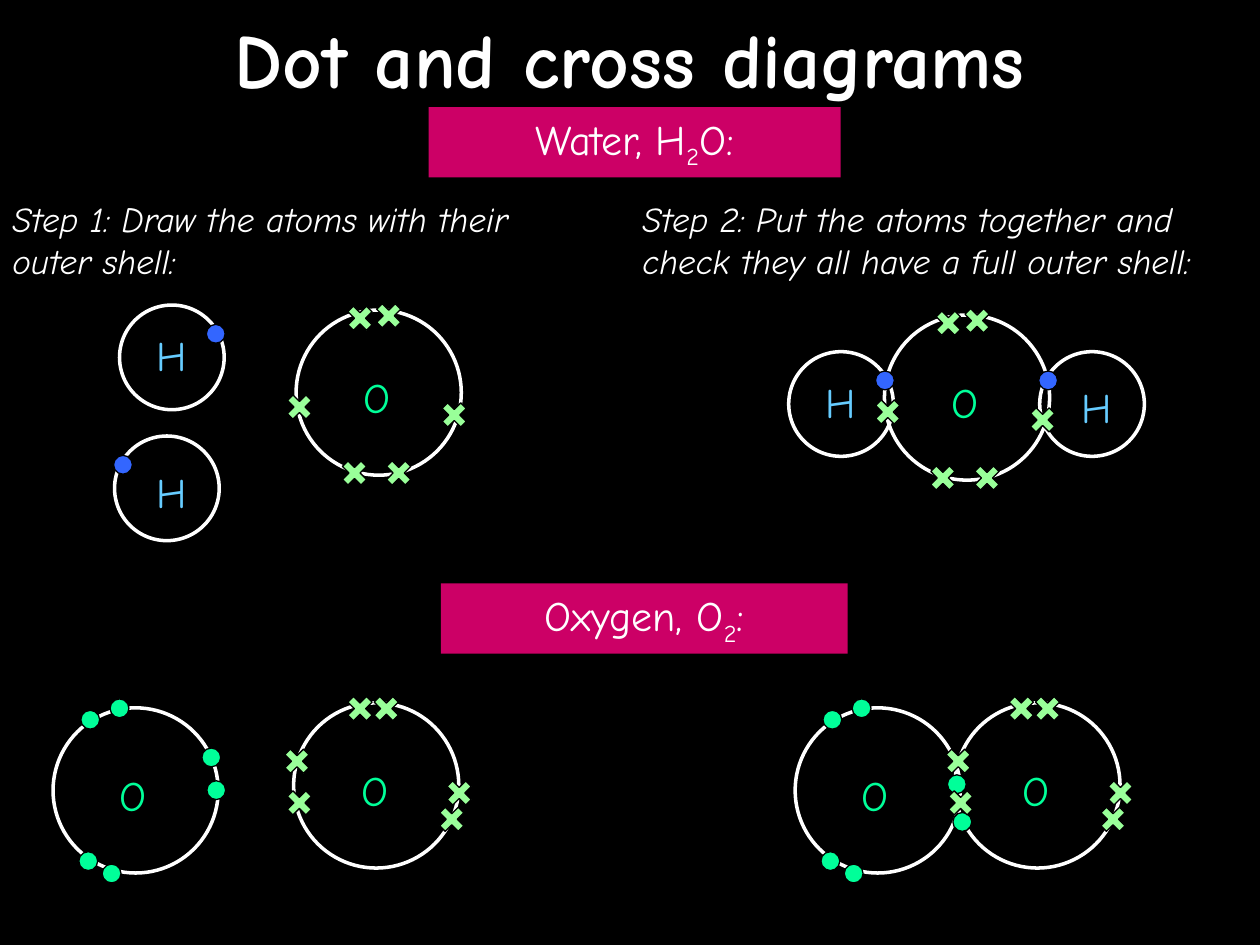
import pptx
import pptx.util
import pptx.dml.color
import pptx.enum.shapes
import pptx.enum.text

Cm = pptx.util.Cm
Pt = pptx.util.Pt
KIND = pptx.enum.shapes.MSO_SHAPE
ALIGN = pptx.enum.text.PP_ALIGN
ANCHOR = pptx.enum.text.MSO_ANCHOR
AUTO = pptx.enum.text.MSO_AUTO_SIZE

HUES = {
    "black": "000000", "white": "FFFFFF", "pink": "CC0066", "blue": "3366FF",
    "sky": "66CCFF", "green": "00FF99", "lime": "99FF99",
}
HEAD = {"size": Pt(44), "bold": True}
BODY = {"size": Pt(24)}
STEP = {"size": Pt(20), "italic": True}

RING = {"H": 2.11, "O": 3.33}
MARK = {"H": "sky", "O": "green"}
DOT, CROSS = 0.38, 0.53

LEFT_H = {"name": "H", "label": (0.23, 0.37), "hue": "blue", "dots": [(1.75, 0.39)]}
RIGHT_H = {"name": "H", "label": (0.32, 0.48), "hue": "blue", "dots": [(-0.02, 0.39)]}
WATER_O = {
    "name": "O", "label": (0.8, 1.12),
    "crosses": [(1.02, -0.1), (1.6, -0.15), (-0.2, 1.69),
                (2.92, 1.85), (0.91, 3.02), (1.8, 3.02)],
}
CROSS_O = {
    "name": "O", "label": (0.81, 1.12),
    "crosses": [(-0.15, 1.75), (-0.2, 0.91), (1.07, -0.15),
                (1.6, -0.15), (2.92, 2.08), (3.07, 1.55)],
}
PAIRS = [(1.15, -0.18), (0.56, 0.05), (0.52, 2.9), (0.99, 3.15)]
FREE_O = {"name": "O", "label": (0.79, 1.12), "hue": "green",
          "dots": PAIRS + [(3, 0.81), (3.1, 1.47)]}
BOND_O = {**FREE_O, "dots": PAIRS + [(3.07, 1.35), (3.18, 2.11)]}

GROUPS = [
    [(WATER_O, 17.83, 6.35), (LEFT_H, 15.9, 7.09), (RIGHT_H, 20.96, 7.09)],
    [(BOND_O, 16.03, 14.27), (CROSS_O, 19.25, 14.17)],
    [(LEFT_H, 2.41, 6.15)],
    [(RIGHT_H, 2.31, 8.79)],
    [(WATER_O, 5.97, 6.25)],
    [(FREE_O, 1.07, 14.27)],
    [(CROSS_O, 5.92, 14.17)],
]


def tint(name):
    return pptx.dml.color.RGBColor.from_string(HUES[name])


def write(shape, parts, form, hue="white", align=ALIGN.CENTER, grow=True):
    frame = shape.text_frame
    setup = {
        "word_wrap": True,
        "auto_size": AUTO.SHAPE_TO_FIT_TEXT if grow else AUTO.NONE,
        "vertical_anchor": ANCHOR.TOP if grow else ANCHOR.MIDDLE,
    }
    for key, value in setup.items():
        setattr(frame, key, value)
    line = frame.paragraphs[0]
    line.alignment = align
    for count, part in enumerate(parts):
        run = line.add_run()
        run.text = part
        for key, value in {"name": "Comic Neue", **form}.items():
            setattr(run.font, key, value)
        run.font.color.rgb = tint(hue)
        if count == 1:
            run.font._element.set("baseline", "-25000")


def text(shapes, box, parts, form, **more):
    write(shapes.add_textbox(*map(Cm, box)), parts, form, **more)


def form(shapes, kind, box, fill=None, line=None, width=0.75):
    shape = shapes.add_shape(kind, *map(Cm, box))
    shape.shadow.inherit = False
    if fill:
        shape.fill.solid()
        shape.fill.fore_color.rgb = tint(fill)
    else:
        shape.fill.background()
    if line:
        shape.line.color.rgb = tint(line)
        shape.line.width = Pt(width)
    else:
        shape.line.fill.background()
    return shape


def banner(shapes, box, parts):
    write(form(shapes, KIND.RECTANGLE, box, "pink"), parts, BODY)


def ring(shapes, atom, x, y):
    size = RING[atom["name"]]
    form(shapes, KIND.OVAL, (x, y, size, size), line="white", width=2)


def dots(shapes, atom, x, y):
    for dx, dy in atom.get("dots", []):
        form(shapes, KIND.OVAL, (x + dx, y + dy, DOT, DOT), atom["hue"], "black")


def label(shapes, atom, x, y):
    dx, dy = atom["label"]
    name = atom["name"]
    text(shapes, (x + dx, y + dy, 1.65, 1.27), [name], BODY, hue=MARK[name])


def crosses(shapes, atom, x, y):
    for dx, dy in atom.get("crosses", []):
        cross = form(shapes, KIND.CROSS, (x + dx, y + dy, CROSS, CROSS), "lime", "black")
        cross.adjustments[0] = 0.35
        cross.rotation = 135


def cluster(slide, atoms):
    shapes = slide.shapes.add_group_shape().shapes
    for draw in (ring, dots, label, crosses):
        for atom, x, y in atoms:
            draw(shapes, atom, x, y)


def main():
    deck = pptx.Presentation()
    deck.slide_width, deck.slide_height = Cm(25.4), Cm(19.05)
    slide = deck.slides.add_slide(deck.slide_layouts[6])
    slide.background.fill.solid()
    slide.background.fill.fore_color.rgb = tint("black")
    shapes = slide.shapes

    text(shapes, (0, 0, 25.4, 2.31), ["Dot and cross diagrams"], HEAD, grow=False)
    banner(shapes, (8.64, 2.16, 8.31, 1.42), ["Water, H", "2", "O:"])
    banner(shapes, (8.89, 11.76, 8.2, 1.42), ["Oxygen, O", "2", ":"])
    for atoms in GROUPS:
        cluster(slide, atoms)
    text(shapes, (0, 3.86, 10.64, 1.96),
         ["Step 1: Draw the atoms with their outer shell:"], STEP, align=ALIGN.LEFT)
    text(shapes, (12.7, 3.86, 12.7, 1.96),
         ["Step 2: Put the atoms together and check they all have a full outer shell:"],
         STEP, align=ALIGN.LEFT)
    deck.save("out.pptx")


if __name__ == "__main__":
    main()
